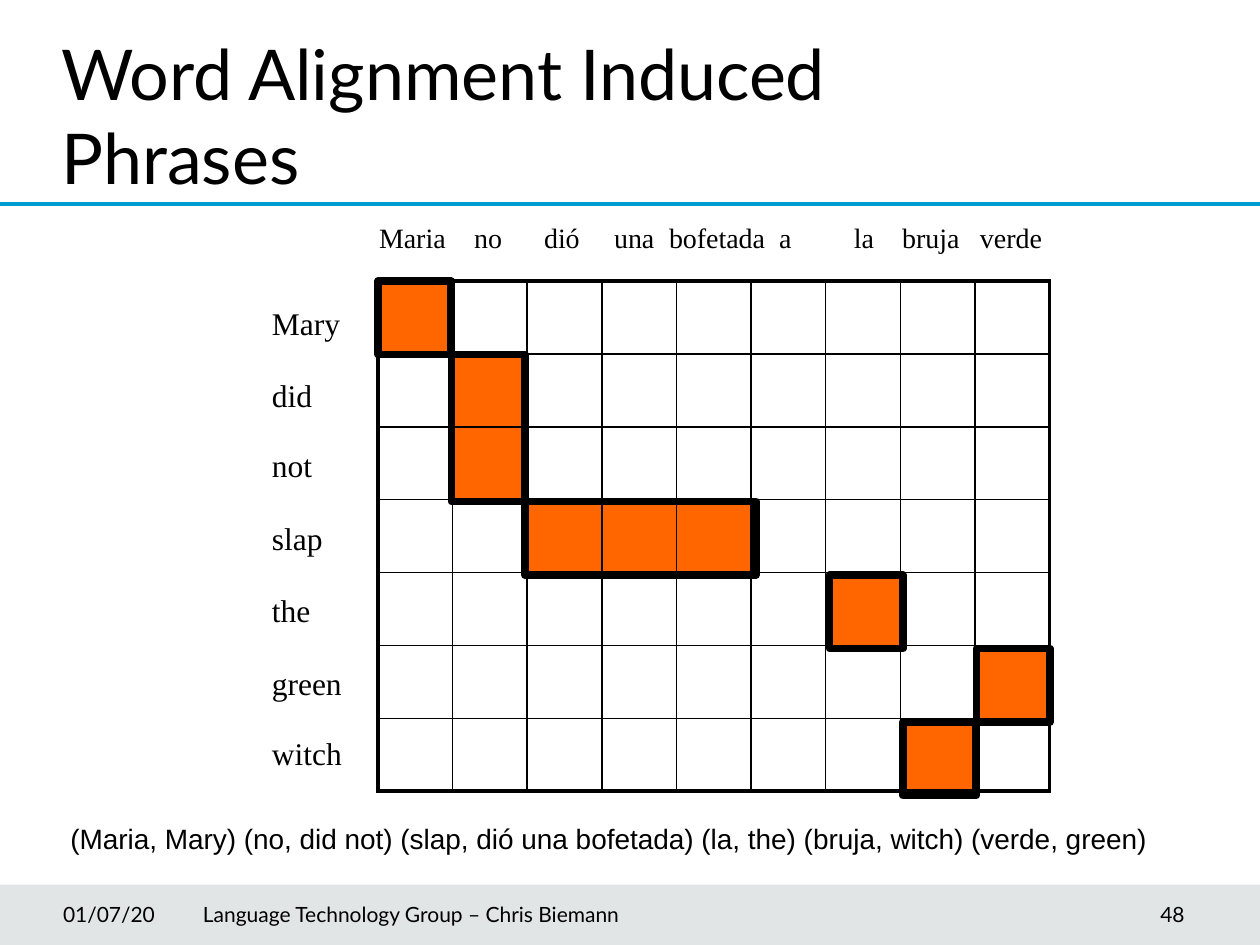
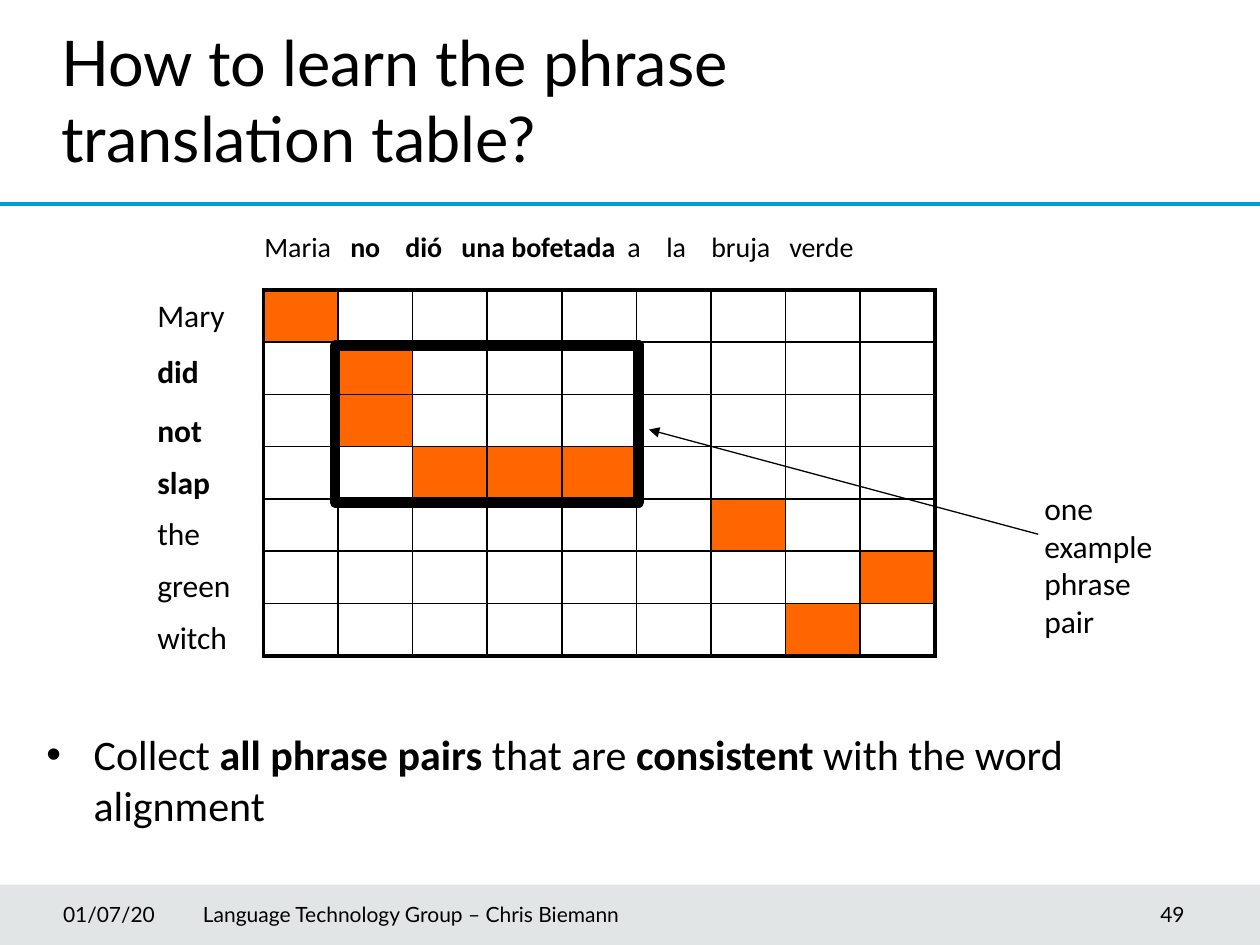
"""Build two slides on word alignment and phrase pairs."""
import pptx
import pptx.dml.color
import pptx.enum.shapes
import pptx.enum.text
import pptx.oxml
import pptx.oxml.ns
import pptx.util
from lxml import etree

Pt = pptx.util.Pt
qn = pptx.oxml.ns.qn
RGB = pptx.dml.color.RGBColor.from_string
Align = pptx.enum.text.PP_ALIGN
Anchor = pptx.enum.text.MSO_ANCHOR
Form = pptx.enum.shapes.MSO_SHAPE
Link = pptx.enum.shapes.MSO_CONNECTOR

HUES = {"ink": "000000", "band": "3B515B", "rule": "009CD1", "match": "FF6600"}
SOURCE = ["Maria", "no", "dió", "una", "bofetada", "a", "la", "bruja", "verde"]
TARGET = ["Mary", "did", "not", "slap", "the", "green", "witch"]
MATCH = {(0, 0), (1, 1), (2, 1), (3, 2), (3, 3), (3, 4), (4, 6), (5, 8), (6, 7)}


class Deck:
    """Hold the shared style and the current slide."""

    def __init__(self):
        self.file = pptx.Presentation()
        self.file.slide_width, self.file.slide_height = Pt(720), Pt(540)
        self.slide = None

    def start(self, title, size, top):
        self.slide = self.file.slides.add_slide(self.file.slide_layouts[6])
        band = self.rect(0, 505.5, 720, 34.5)
        band.line.fill.background()
        band.fill.solid()
        band.fill.fore_color.rgb = RGB(HUES["band"])
        tint = band.fill._xPr.find(".//" + qn("a:srgbClr"))
        etree.SubElement(tint, qn("a:alpha"), val="15000")
        self.line(0, 116.7, 720, 116.7, "rule", 2)
        self.text(28, top, 541, 66, [title], "Lato", size)

    def foot(self, number):
        middle = {"vertical_anchor": Anchor.MIDDLE}
        flush = {**middle, "margin_left": 0}
        note = "Language Technology Group – Chris Biemann"
        self.text(36, 507.6, 71, 29, ["01/07/20"], "Lato", 12, frame=flush)
        self.text(116, 507.6, 354, 29, [note], "Lato", 12, frame=flush)
        self.text(574.6, 507.6, 109.4, 29, [number], "Lato", 12,
                  frame=middle, para={"alignment": Align.RIGHT})

    def text(self, x, y, w, h, lines, face, size, frame={}, para={}, gaps=()):
        box = self.slide.shapes.add_textbox(Pt(x), Pt(y), Pt(w), Pt(h))
        body = box.text_frame
        for name, value in {"word_wrap": True, **frame}.items():
            setattr(body, name, value)
        for i, line in enumerate(lines):
            part = body.add_paragraph() if i else body.paragraphs[0]
            for name, value in para.items():
                setattr(part, name, value)
            if i and gaps:
                part.space_before = Pt(gaps[i - 1])
            for words, bold in [(line, False)] if isinstance(line, str) else line:
                run = part.add_run()
                run.text = words
                style = {"name": face, "size": Pt(size), "bold": bold}
                for name, value in style.items():
                    setattr(run.font, name, value)
                run.font.color.rgb = RGB(HUES["ink"])
        return body

    def heads(self, x, y, w, stops, runs, face):
        body = self.text(x, y, w, 26.6, [runs], face, 16)
        tabs = etree.SubElement(body.paragraphs[0]._p.get_or_add_pPr(), qn("a:tabLst"))
        for stop in stops:
            etree.SubElement(tabs, qn("a:tab"), pos=str(int(Pt(stop))), algn="l")

    def bullet(self, x, y, w, h, runs, face, size):
        body = self.text(x, y, w, h, [runs], face, size)
        props = body.paragraphs[0]._p.get_or_add_pPr()
        props.set("marL", str(int(Pt(27))))
        props.set("indent", str(int(Pt(-27))))
        etree.SubElement(props, qn("a:buFont"), typeface="Arial")
        etree.SubElement(props, qn("a:buChar"), char="•")

    def rect(self, x, y, w, h, width=1):
        box = self.slide.shapes.add_shape(Form.RECTANGLE, Pt(x), Pt(y), Pt(w), Pt(h))
        box.shadow.inherit = False
        box.fill.background()
        box.line.color.rgb = RGB(HUES["ink"])
        box.line.width = Pt(width)
        return box

    def line(self, x1, y1, x2, y2, hue, width, arrow=False):
        link = self.slide.shapes.add_connector(
            Link.STRAIGHT, Pt(x1), Pt(y1), Pt(x2), Pt(y2))
        link.line.color.rgb = RGB(HUES[hue])
        link.line.width = Pt(width)
        if arrow:
            etree.SubElement(link.line._get_or_add_ln(), qn("a:tailEnd"), type="triangle")
        etree.SubElement(link._element.spPr, qn("a:effectLst"))

    def grid(self, x, y, w, h):
        rows, cols = len(TARGET), len(SOURCE)
        table = self.slide.shapes.add_table(rows, cols, Pt(x), Pt(y), Pt(w), Pt(h)).table
        table.first_row = table.horz_banding = False
        for col in table.columns:
            col.width = Pt(w / cols)
        for row in table.rows:
            row.height = Pt(h / rows)
        for r in range(rows):
            for c in range(cols):
                cell = table.cell(r, c)
                if (r, c) in MATCH:
                    cell.fill.solid()
                    cell.fill.fore_color.rgb = RGB(HUES["match"])
                else:
                    cell.fill.background()
                outer = {"L": c == 0, "R": c == cols - 1, "T": r == 0, "B": r == rows - 1}
                self.edge(cell, outer)

    def edge(self, cell, outer):
        props = cell._tc.get_or_add_tcPr()
        for i, (side, thick) in enumerate(outer.items()):
            line = etree.Element(qn("a:ln" + side), w=str(int(Pt(2.25 if thick else 1))))
            fill = etree.SubElement(line, qn("a:solidFill"))
            etree.SubElement(fill, qn("a:srgbClr"), val=HUES["ink"])
            props.insert(i, line)


def induced(deck):
    deck.start("Word Alignment Induced Phrases", 40, 13.7)
    deck.grid(216, 160.6, 383.8, 291.6)
    face = "Times New Roman"
    deck.text(148.3, 170, 55, 269, TARGET, face, 18, gaps=[20, 18, 20, 20, 20, 18])
    stops = [54.3, 94.3, 134.3, 165.7, 228.6, 271.4, 298.9, 343.4]
    deck.heads(209.5, 122.4, 400, stops, [("\t".join(SOURCE), False)], face)
    step = 42
    blocks = [(258, 1, 42, 2), (216, 0, 42, 1), (300, 3, 132, 1),
              (474, 4, 42, 1), (558, 5, 42, 1), (516, 6, 42, 1)]
    for x, row, w, tall in blocks:
        deck.rect(x, 160.6 + row * step, w, tall * step, 4.5)
    pairs = ("(Maria, Mary) (no, did not) (slap, dió una bofetada) "
             "(la, the) (bruja, witch) (verde, green)")
    deck.text(33.1, 465.8, 640, 26.6, [pairs], "Arial", 16)
    deck.foot("48")


def learn(deck):
    face = "Calibri"
    deck.start("How to learn the phrase translation table?", 36, 10.1)
    runs = [("Collect ", False), ("all phrase pairs ", True), ("that are ", False),
            ("consistent", True), (" with the word alignment", False)]
    deck.bullet(19.4, 413, 680.4, 89, runs, face, 24)
    deck.grid(150.5, 165.6, 383.8, 209.2)
    words = [[(word, 1 <= i <= 3)] for i, word in enumerate(TARGET)]
    deck.text(82.8, 165.6, 62, 216.7, words, face, 18, gaps=[10.6, 11.8, 8, 8, 8, 8])
    stops = [49.1, 80.6, 112.6, 141.1, 207.4, 229.7, 255.4, 300]
    heads = [(SOURCE[0] + "\t", False), ("\t".join(SOURCE[1:5]) + "\t", True),
             ("\t".join(SOURCE[5:]), False)]
    deck.heads(144, 127.4, 405.4, stops, heads, face)
    deck.rect(191.5, 197.3, 173.5, 90, 6)
    deck.line(593.3, 305.3, 370.8, 245.5, "ink", 0.75, arrow=True)
    deck.text(589.7, 275.8, 82.8, 93.6, ["one", "example", "phrase", "pair"], face, 18)
    deck.foot("49")


def main():
    deck = Deck()
    induced(deck)
    learn(deck)
    deck.file.save("out.pptx")


if __name__ == "__main__":
    main()
